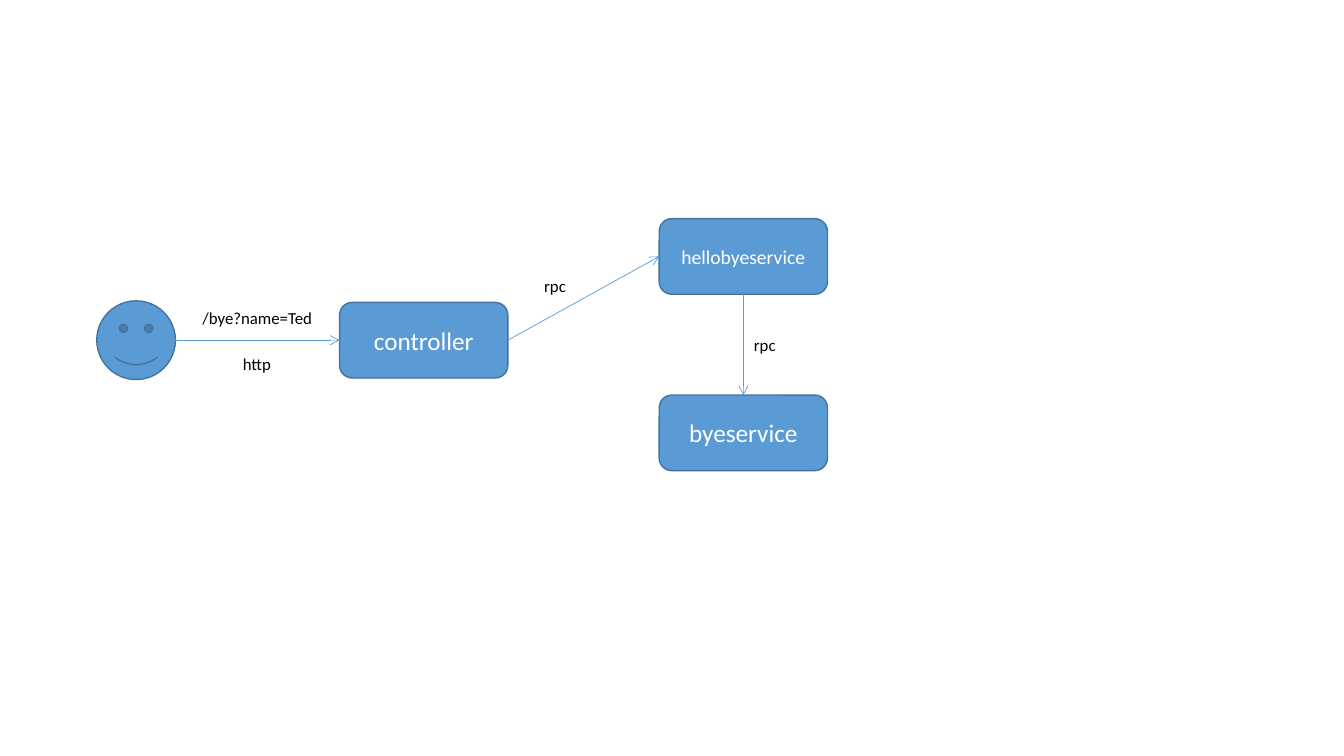
"""Draw the call flow from a user through a controller to two services."""
import pptx
import pptx.util
import pptx.dml.color
import pptx.enum.shapes
import pptx.enum.text
import pptx.oxml
import pptx.oxml.ns

Pt = pptx.util.Pt
SHAPES = pptx.enum.shapes.MSO_SHAPE
TOP, LEFT, BOTTOM, RIGHT = range(4)


def colour(code):
    return pptx.dml.color.RGBColor.from_string(code)


class Diagram:
    font = "Calibri"
    blue, outline, white, black = "5B9BD5", "43739E", "FFFFFF", "000000"
    box_width, box_height = 120.2, 54

    def __init__(self, page):
        self.page = page

    def add_text(self, frame, text, size, code, align):
        para = frame.paragraphs[0]
        para.alignment = align
        span = para.add_run()
        span.text = text
        span.font.name = self.font
        span.font.size = Pt(size)
        span.font.color.rgb = colour(code)

    def shape(self, kind, left, top, width, height):
        shape = self.page.shapes.add_shape(kind, Pt(left), Pt(top), Pt(width), Pt(height))
        shape.shadow.inherit = False
        shape.fill.solid()
        shape.fill.fore_color.rgb = colour(self.blue)
        shape.line.color.rgb = colour(self.outline)
        shape.line.width = Pt(1)
        return shape

    def box(self, text, left, top, size=18):
        box = self.shape(SHAPES.ROUNDED_RECTANGLE, left, top, self.box_width, self.box_height)
        box.text_frame.vertical_anchor = pptx.enum.text.MSO_ANCHOR.MIDDLE
        self.add_text(box.text_frame, text, size, self.white, pptx.enum.text.PP_ALIGN.CENTER)
        return box

    def arrow(self, start, end, end_site, start_site=None):
        x, y = start.left + start.width, start.top + start.height // 2
        arrow = self.page.shapes.add_connector(
            pptx.enum.shapes.MSO_CONNECTOR.STRAIGHT, x, y, x, y)
        if start_site is not None:
            arrow.begin_connect(start, start_site)
        arrow.end_connect(end, end_site)
        arrow.line.color.rgb = colour(self.blue)
        arrow.line.width = Pt(0.5)
        namespace = pptx.oxml.ns.nsdecls("a")
        properties = arrow._element.spPr
        properties.find(pptx.oxml.ns.qn("a:ln")).append(
            pptx.oxml.parse_xml(f'<a:tailEnd {namespace} type="arrow"/>'))
        properties.append(pptx.oxml.parse_xml(f"<a:effectLst {namespace}/>"))

    def label(self, text, left, top, width):
        label = self.page.shapes.add_textbox(Pt(left), Pt(top), Pt(width), Pt(21.8))
        frame = label.text_frame
        frame.word_wrap = False
        frame.auto_size = pptx.enum.text.MSO_AUTO_SIZE.SHAPE_TO_FIT_TEXT
        self.add_text(frame, text, 12, self.black, pptx.enum.text.PP_ALIGN.LEFT)


deck = pptx.Presentation()
deck.slide_width, deck.slide_height = Pt(960), Pt(540)
diagram = Diagram(deck.slides.add_slide(deck.slide_layouts[6]))

controller = diagram.box("controller", 242.6, 216)
hellobye = diagram.box("hellobyeservice", 470.9, 156.2, size=14)
bye = diagram.box("byeservice", 470.9, 282.2)
user = diagram.shape(SHAPES.SMILEY_FACE, 69.1, 214.9, 56.2, 56.2)

diagram.arrow(user, controller, LEFT)
diagram.arrow(controller, hellobye, LEFT, RIGHT)
diagram.arrow(hellobye, bye, TOP, BOTTOM)

for text, left, top, width in (
    ("/bye?name=Ted", 137.5, 216, 92.9),
    ("http", 166.3, 249.1, 34.6),
    ("rpc", 381.6, 193.7, 30.2),
    ("rpc", 531.4, 235.4, 30.2),
):
    diagram.label(text, left, top, width)

deck.save("out.pptx")
